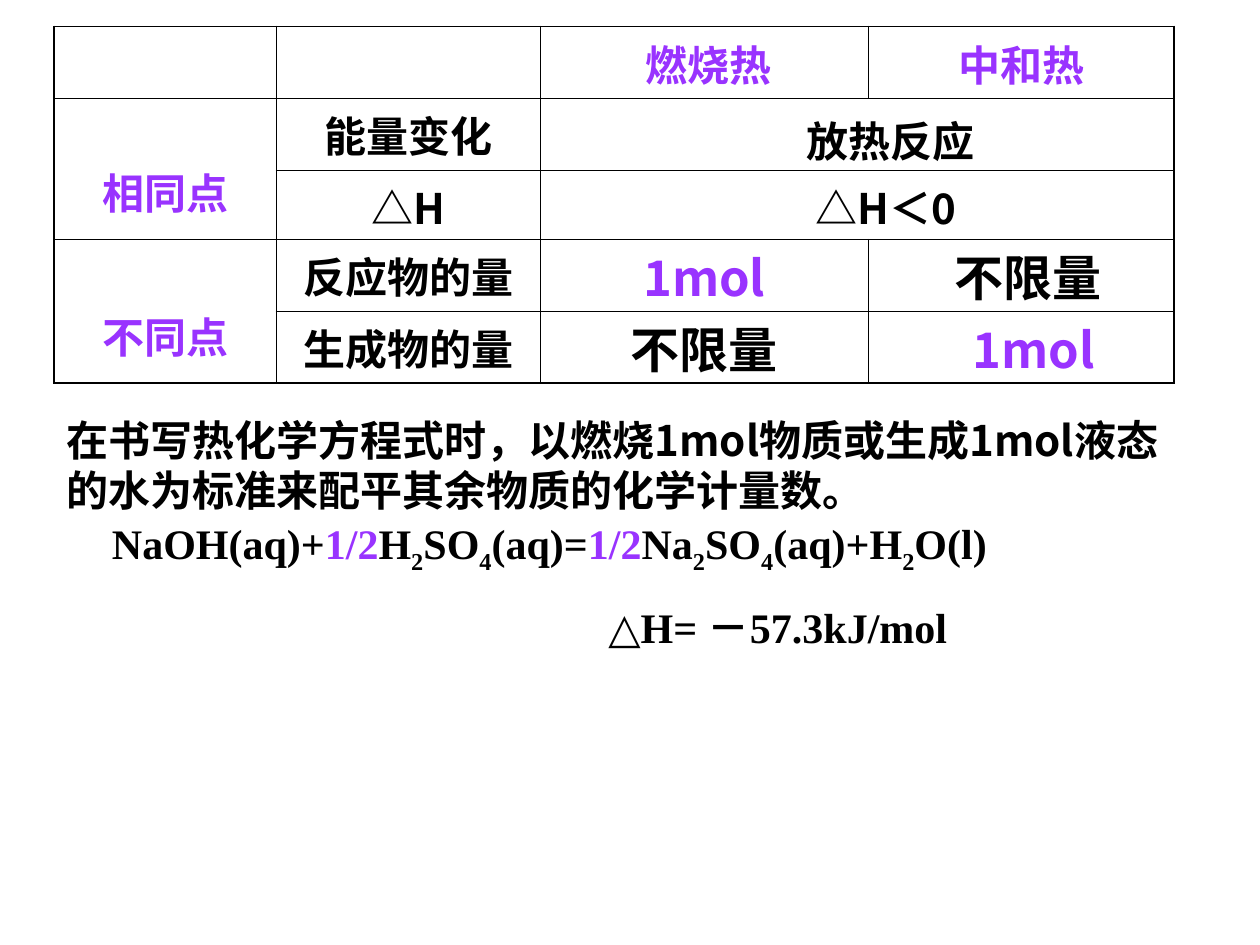
import pptx
import pptx.util
import pptx.dml.color
import pptx.enum.text
import pptx.oxml.ns
import lxml.etree

Inches, Pt = pptx.util.Inches, pptx.util.Pt
COLORS = {"purple": "9933FF", "black": "000000"}
SANS, SERIF = "Noto Sans CJK SC", "Times New Roman"

COLUMNS = [1.76, 2.1, 2.6, 2.43]
ROWS = [0.57, 0.57, 0.55, 0.57, 0.57]
MERGES = [(1, 0, 2, 0), (1, 2, 1, 3), (2, 2, 2, 3), (3, 0, 4, 0)]
# row, column: wording, size, colour, shift to the right, space below
COMPARISON = {
    (0, 2): ("燃烧热", 24, "purple", 0.07, 0.04),
    (0, 3): ("中和热", 24, "purple", 0, 0.04),
    (1, 0): ("相同点", 24, "purple", 0, 0.14),
    (1, 1): ("能量变化", 24, "black", 0, 0.04),
    (1, 2): ("放热反应", 24, "black", 0.52, 0),
    (2, 1): ("△H", 24, "black", 0, 0.02),
    (2, 2): ("△H＜0", 24, "black", 0.45, 0.02),
    (3, 0): ("不同点", 24, "purple", 0, 0.14),
    (3, 1): ("反应物的量", 24, "black", 0, 0.04),
    (3, 2): ("1mol", 28, "purple", 0, 0),
    (3, 3): ("不限量", 28, "black", 0.11, 0),
    (4, 1): ("生成物的量", 24, "black", 0, 0.04),
    (4, 2): ("不限量", 28, "black", 0, 0),
    (4, 3): ("1mol", 28, "purple", 0.2, 0),
}
RULE = "在书写热化学方程式时，以燃烧1mol物质或生成1mol液态的水为标准来配平其余物质的化学计量数。"
EQUATION = [
    ("NaOH(aq)+", ""), ("1/2", "coefficient"), ("H", ""), ("2", "sub"),
    ("SO", ""), ("4", "sub"), ("(aq)=", ""), ("1/2", "coefficient"),
    ("Na", ""), ("2", "sub"), ("SO", ""), ("4", "sub"),
    ("(aq)+H", ""), ("2", "sub"), ("O(l)", ""),
]
ENTHALPY = "△H= －57.3kJ/mol"


def style(run, size, color, face):
    run.font.size = Pt(size)
    run.font.bold = True
    run.font.name = face
    run.font.color.rgb = pptx.dml.color.RGBColor.from_string(COLORS[color])
    east_asian = lxml.etree.SubElement(run.font._element, pptx.oxml.ns.qn("a:ea"))
    east_asian.set("typeface", SANS)


def draw_borders(cell, outer_edges):
    properties = cell._tc.get_or_add_tcPr()
    for position, edge in enumerate("LRTB"):
        width = 1.08 if edge in outer_edges else 0.45
        line = lxml.etree.Element(pptx.oxml.ns.qn("a:ln" + edge), w=str(Pt(width)))
        fill = lxml.etree.SubElement(line, pptx.oxml.ns.qn("a:solidFill"))
        lxml.etree.SubElement(fill, pptx.oxml.ns.qn("a:srgbClr"), val=COLORS["black"])
        properties.insert(position, line)


def add_comparison(slide):
    table = slide.shapes.add_table(
        len(ROWS), len(COLUMNS), Inches(0.43), Inches(0.21),
        Inches(sum(COLUMNS)), Inches(sum(ROWS))).table
    table.first_row = table.horz_banding = False
    for column, width in zip(table.columns, COLUMNS):
        column.width = Inches(width)
    for row, height in zip(table.rows, ROWS):
        row.height = Inches(height)
    for top, left, bottom, right in MERGES:
        table.cell(top, left).merge(table.cell(bottom, right))
    for r in range(len(ROWS)):
        for c in range(len(COLUMNS)):
            cell = table.cell(r, c)
            cell.fill.background()
            if cell.is_spanned:
                continue
            height = cell.span_height if cell.is_merge_origin else 1
            width = cell.span_width if cell.is_merge_origin else 1
            at_edge = {"L": c == 0, "T": r == 0, "R": c + width == len(COLUMNS),
                       "B": r + height == len(ROWS)}
            draw_borders(cell, [edge for edge in at_edge if at_edge[edge]])
            if (r, c) not in COMPARISON:
                continue
            wording, size, color, shift, below = COMPARISON[r, c]
            cell.text_frame.text = wording
            cell.vertical_anchor = pptx.enum.text.MSO_ANCHOR.BOTTOM
            cell.margin_left = Inches(0.1 + shift)
            cell.margin_top, cell.margin_bottom = 0, Inches(below)
            paragraph = cell.text_frame.paragraphs[0]
            paragraph.alignment = pptx.enum.text.PP_ALIGN.CENTER
            paragraph.line_spacing = Pt(size * 1.2)
            style(paragraph.runs[0], size, color, SANS)


def add_text(slide, left, top, width, height):
    frame = slide.shapes.add_textbox(
        Inches(left), Inches(top), Inches(width), Inches(height)).text_frame
    frame.word_wrap = True
    return frame


def main():
    deck = pptx.Presentation()
    deck.slide_width, deck.slide_height = Inches(10), Inches(7.5)
    slide = deck.slides.add_slide(deck.slide_layouts[6])
    add_comparison(slide)

    rule = add_text(slide, 0.43, 3.2, 8.98, 0.9)
    rule.text = RULE
    rule.margin_top = Inches(0.09)
    rule.paragraphs[0].line_spacing = Pt(28.6)
    style(rule.paragraphs[0].runs[0], 24, "black", SANS)

    reaction = add_text(slide, 0.79, 4.06, 9.21, 1.17)
    equation = reaction.paragraphs[0]
    for wording, role in EQUATION:
        run = equation.add_run()
        run.text = wording
        style(run, 24, "purple" if role == "coefficient" else "black", SERIF)
        if role == "sub":
            run.font._element.set("baseline", "-25000")
    enthalpy = reaction.add_paragraph()
    enthalpy.text = ENTHALPY
    enthalpy.space_before = Pt(15)
    enthalpy._p.get_or_add_pPr().set("marL", str(Inches(3.94)))
    style(enthalpy.runs[0], 24, "black", SERIF)
    deck.save("out.pptx")


if __name__ == "__main__":
    main()
